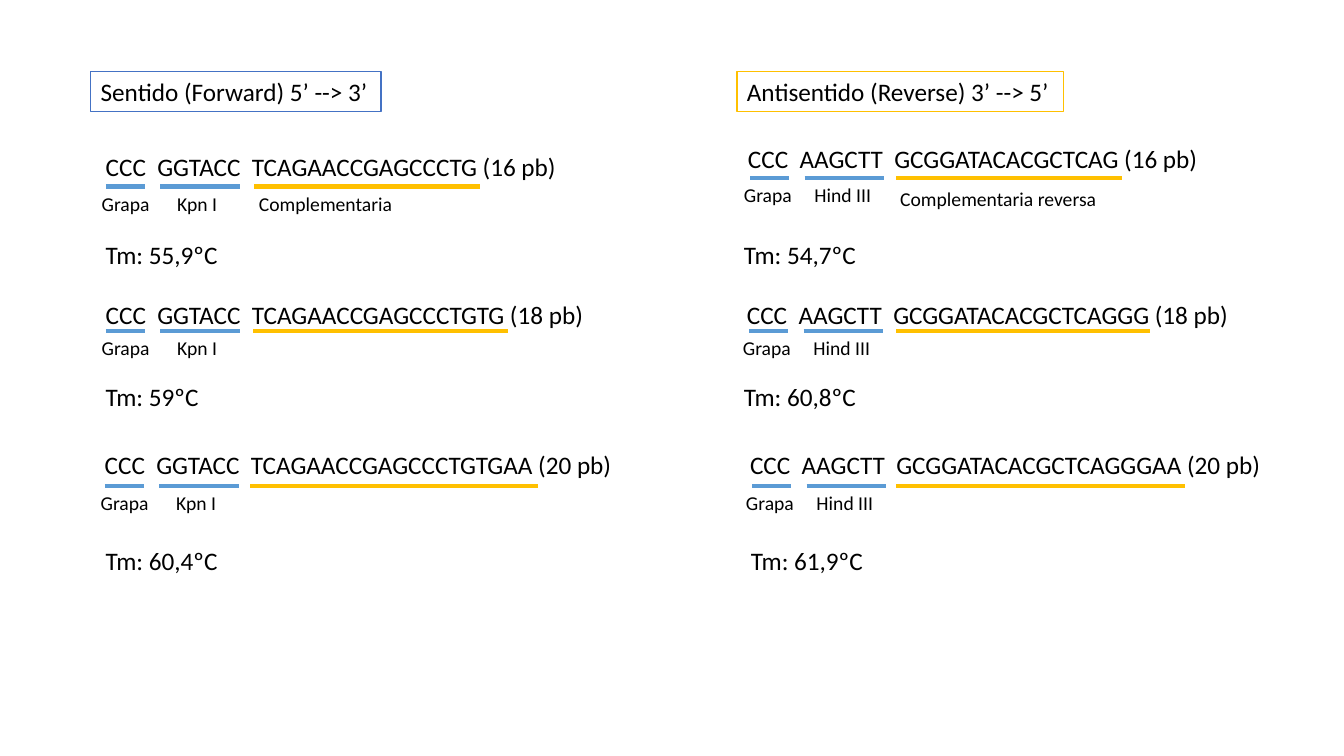
"""Build a slide comparing forward and reverse PCR primers with their melting temperatures."""
from lxml import etree
from pptx import Presentation
from pptx.dml.color import RGBColor
from pptx.enum.shapes import MSO_CONNECTOR, MSO_SHAPE
from pptx.enum.text import MSO_ANCHOR, PP_ALIGN
from pptx.oxml.ns import qn
from pptx.util import Inches, Pt

RECT, STRAIGHT = MSO_SHAPE.RECTANGLE, MSO_CONNECTOR.STRAIGHT
LEFT, TOP = PP_ALIGN.LEFT, MSO_ANCHOR.TOP

THEME = {
    "font": "Calibri", "body": 18, "label": 14, "bar": 3, "frame": 1,
    "text": "000000", "paper": "FFFFFF", "site": "5B9BD5", "match": "FFC000",
    "forward": "4472C4", "reverse": "FFC000",
}
HEIGHT = {"body": 0.4, "label": 0.34}
TITLE_TOP = 0.71
CLAMP_BAR, SITE_BAR, SITE_SHIFT = 0.39, 0.79, 0.54

COLUMNS = [
    {"title": "Sentido (Forward) 5’ --> 3’", "frame": "forward", "title_box": (0.9, 2.88),
     "bar_inset": 0.1, "site": ("Kpn I", 0.71, 0.6),
     "match": ("Complementaria", 2.47, 1.85, 1.54),
     "primers": [
         {"seq": "CCC  GGTACC  TCAGAACCGAGCCCTG (16 pb)", "box": (0.95, 1.45, 4.72),
          "bar_y": 1.85, "match": (2.52, 4.76), "tm": ("55,9", 0.95, 2.33, 1.33)},
         {"seq": "CCC  GGTACC  TCAGAACCGAGCCCTGTG (18 pb)", "box": (0.95, 2.92, 5),
          "bar_y": 3.28, "match": (2.51, 5.04), "tm": ("59", 0.95, 3.73, 1.13)},
         {"seq": "CCC  GGTACC  TCAGAACCGAGCCCTGTGAA (20 pb)", "box": (0.94, 4.41, 5.29),
          "bar_y": 4.82, "match": (2.48, 5.34), "tm": ("60,4", 0.95, 5.36, 1.33)},
     ]},
    {"title": "Antisentido (Reverse) 3’ --> 5’", "frame": "reverse", "title_box": (7.31, 3.24),
     "bar_inset": 0.12, "site": ("Hind III", 0.66, 0.77),
     "match": ("Complementaria reversa", 8.83, 1.81, 2.17),
     "primers": [
         {"seq": "CCC  AAGCTT  GCGGATACACGCTCAG (16 pb)", "box": (7.32, 1.37, 4.71),
          "bar_y": 1.77, "match": (8.89, 11.13), "tm": ("54,7", 7.28, 2.33, 1.33)},
         {"seq": "CCC  AAGCTT  GCGGATACACGCTCAGGG (18 pb)", "box": (7.31, 2.92, 5.03),
          "bar_y": 3.28, "match": (8.89, 11.41), "tm": ("60,8", 7.28, 3.73, 1.33)},
         {"seq": "CCC  AAGCTT  GCGGATACACGCTCAGGGAA (20 pb)", "box": (7.34, 4.41, 5.32),
          "bar_y": 4.82, "match": (8.89, 11.75), "tm": ("61,9", 7.35, 5.36, 1.33)},
     ]},
]


def color(name):
    return RGBColor.from_string(THEME[name])


def write(sp, text, size):
    tf = sp.text_frame
    tf.text = text
    tf.word_wrap = False
    tf.vertical_anchor = TOP
    p = tf.paragraphs[0]
    p.alignment = LEFT
    font = p.runs[0].font
    font.name, font.size = THEME["font"], Pt(THEME[size])
    font.color.rgb = color("text")


def add_text(shapes, text, x, y, w, size="body"):
    sp = shapes.add_textbox(Inches(x), Inches(y), Inches(w), Inches(HEIGHT[size]))
    write(sp, text, size)


def add_bar(shapes, x1, x2, y, fill):
    bar = shapes.add_connector(STRAIGHT, Inches(x1), Inches(y), Inches(x2), Inches(y))
    bar.line.color.rgb = color(fill)
    bar.line.width = Pt(THEME["bar"])
    etree.SubElement(bar._element.spPr, qn("a:effectLst"))


def add_title(shapes, column):
    x, w = column["title_box"]
    sp = shapes.add_shape(RECT, Inches(x), Inches(TITLE_TOP), Inches(w), Inches(HEIGHT["body"]))
    sp.shadow.inherit = False
    sp.fill.solid()
    sp.fill.fore_color.rgb = color("paper")
    sp.line.color.rgb = color(column["frame"])
    sp.line.width = Pt(THEME["frame"])
    write(sp, column["title"], "body")


def add_primer(shapes, column, primer):
    x, y, w = primer["box"]
    bar_y = primer["bar_y"]
    clamp_x = x + column["bar_inset"]
    site_x = clamp_x + SITE_SHIFT
    site, site_inset, site_w = column["site"]
    group = shapes.add_group_shape().shapes
    add_text(group, primer["seq"], x, y, w)
    add_bar(group, clamp_x, clamp_x + CLAMP_BAR, bar_y, "site")
    add_text(group, "Grapa", x - 0.04, bar_y, 0.68, "label")
    add_bar(group, site_x, site_x + SITE_BAR, bar_y, "site")
    add_text(group, site, x + site_inset, bar_y, site_w, "label")
    add_bar(shapes, *primer["match"], bar_y, "match")
    degrees, *place = primer["tm"]
    add_text(shapes, f"Tm: {degrees}ºC", *place)


prs = Presentation()
prs.slide_width, prs.slide_height = Inches(13.33), Inches(7.5)
s = prs.slides.add_slide(prs.slide_layouts[6])
for column in COLUMNS:
    add_title(s.shapes, column)
    for primer in column["primers"]:
        add_primer(s.shapes, column, primer)
    add_text(s.shapes, *column["match"], "label")
prs.save("out.pptx")
